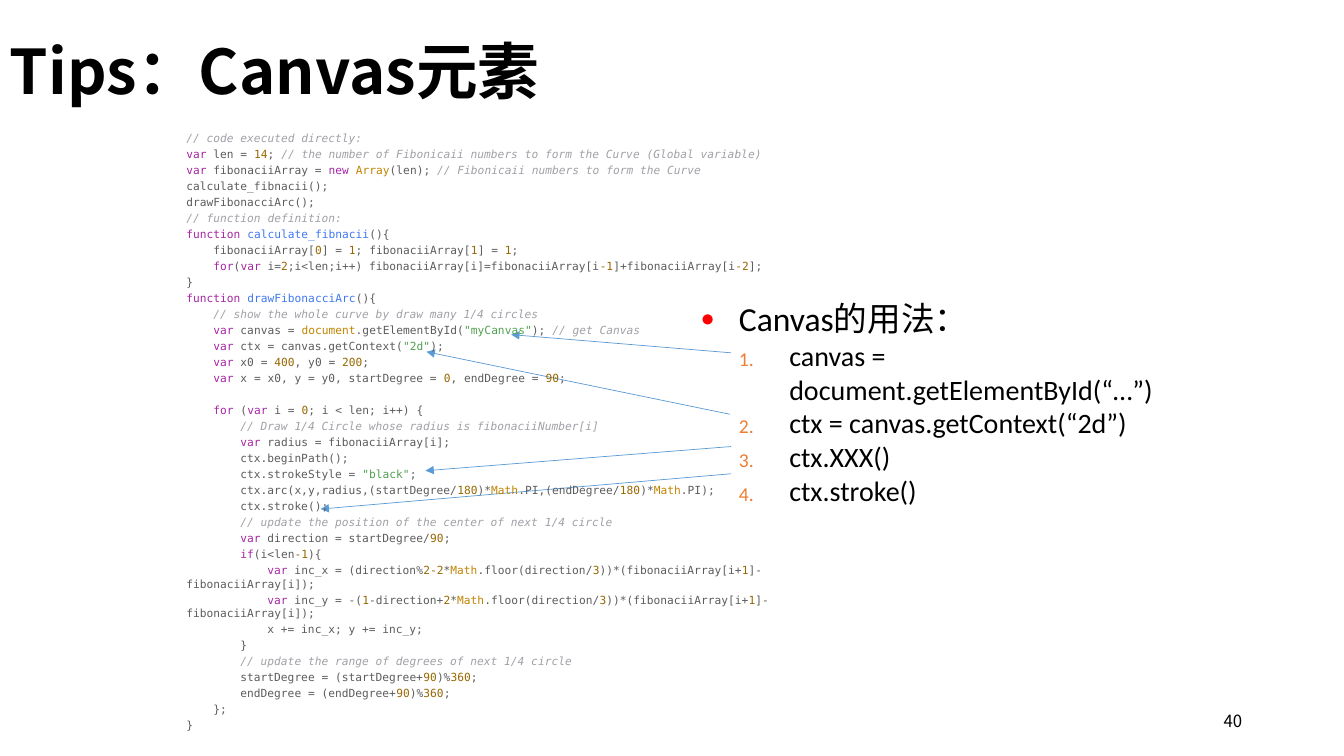
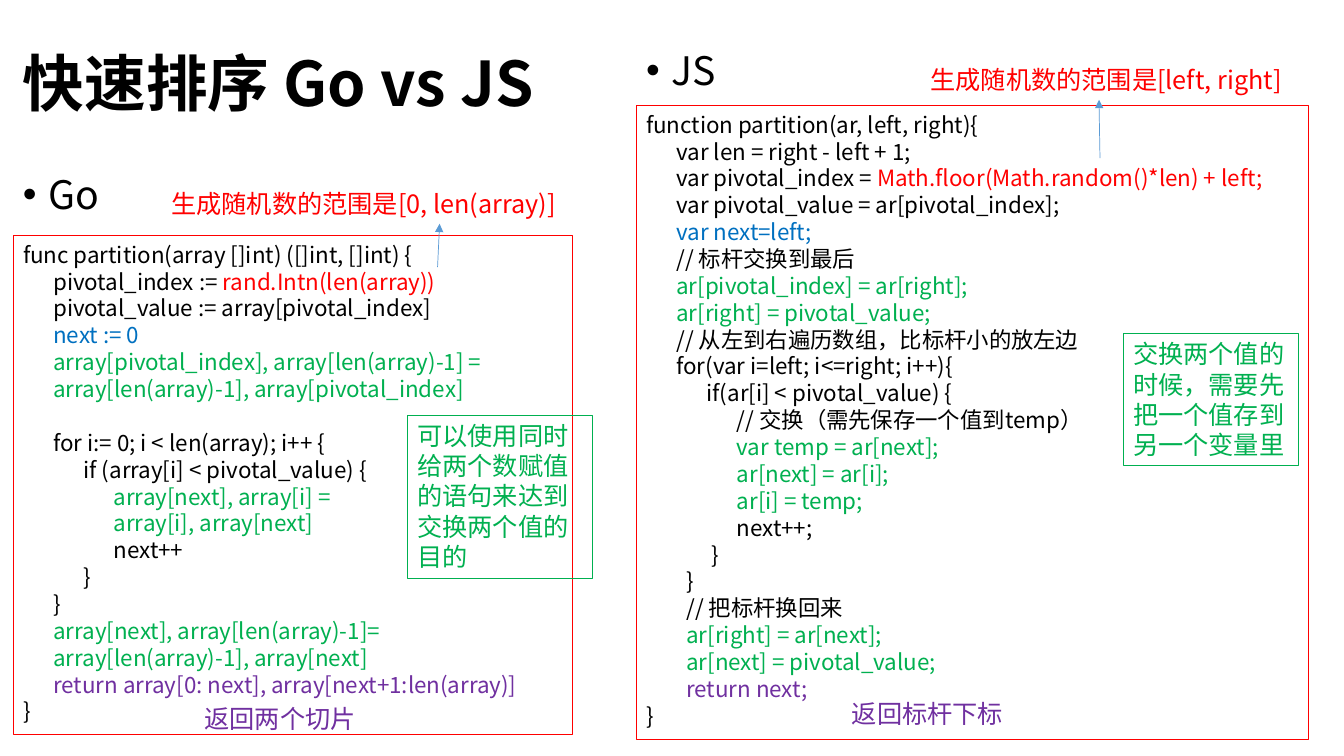
from lxml import etree
from pptx import Presentation
from pptx.dml.color import RGBColor
from pptx.enum import shapes, text
from pptx.oxml import ns
from pptx.util import Inches, Pt

COLORS = {
    "ink": "000000", "red": "FF0000", "blue": "0070C0", "green": "00B050",
    "purple": "7030A0", "orange": "ED7D31", "arrow": "5B9BD5",
    "code": "5C5C5C", "note": "A0A1A7", "key": "A626A4", "num": "986801",
    "obj": "C18401", "func": "4078F2", "str": "50A14F",
}
SANS, MONO, LATIN = "Noto Sans CJK SC", "DejaVu Sans Mono", "Calibri"

# Content: «colour:words» marks a coloured span, leading spaces give the indent
CANVAS_CODE = [
    '«note:// code executed directly:»',
    '«key:var» len = «num:14»; «note:// the number of Fibonicaii numbers to form the Curve (Global variable)»',
    '«key:var» fibonaciiArray = «key:new» «obj:Array»(len); «note:// Fibonicaii numbers to form the Curve»',
    'calculate_fibnacii();',
    'drawFibonacciArc();',
    '«note:// function definition:»',
    '«key:function» «func:calculate_fibnacii»(){',
    '    fibonaciiArray[«num:0»] = «num:1»; fibonaciiArray[«num:1»] = «num:1»;',
    '    «key:for»(«key:var» i=«num:2»;i<len;i++) fibonaciiArray[i]=fibonaciiArray[i«num:-1»]+fibonaciiArray[i«num:-2»];',
    '}',
    '«key:function» «func:drawFibonacciArc»(){',
    '    «note:// show the whole curve by draw many 1/4 circles»',
    '    «key:var» canvas = «obj:document».getElementById(«str:"myCanvas"»); «note:// get Canvas»',
    '    «key:var» ctx = canvas.getContext(«str:"2d"»);',
    '    «key:var» x0 = «num:400», y0 = «num:200»;',
    '    «key:var» x = x0, y = y0, startDegree = «num:0», endDegree = «num:90»;',
    '',
    '    «key:for» («key:var» i = «num:0»; i < len; i++) {',
    '        «note:// Draw 1/4 Circle whose radius is fibonaciiNumber[i]»',
    '        «key:var» radius = fibonaciiArray[i];',
    '        ctx.beginPath();',
    '        ctx.strokeStyle = «str:"black"»;',
    '        ctx.arc(x,y,radius,(startDegree/«num:180»)*«obj:Math».PI,(endDegree/«num:180»)*«obj:Math».PI);',
    '        ctx.stroke();',
    '        «note:// update the position of the center of next 1/4 circle»',
    '        «key:var» direction = startDegree/«num:90»;',
    '        «key:if»(i<len«num:-1»){',
    '            «key:var» inc_x = (direction%«num:2-2»*«obj:Math».floor(direction/«num:3»))'
    '*(fibonaciiArray[i+«num:1»]-fibonaciiArray[i]);',
    '            «key:var» inc_y = -(«num:1»-direction+«num:2»*«obj:Math».floor(direction/«num:3»))'
    '*(fibonaciiArray[i+«num:1»]-fibonaciiArray[i]);',
    '            x += inc_x; y += inc_y;',
    '        }',
    '        «note:// update the range of degrees of next 1/4 circle»',
    '        startDegree = (startDegree+«num:90»)%«num:360»;',
    '        endDegree = (endDegree+«num:90»)%«num:360»;',
    '    };',
    '}',
]

GO_CODE = [
    "func partition(array []int) ([]int, []int) {",
    "      pivotal_index := «red:rand.Intn(len(array))»",
    "      pivotal_value := array[pivotal_index]",
    "      «blue:next := 0»",
    "      «green:array[pivotal_index], array[len(array)-1] =»",
    "      «green:array[len(array)-1], array[pivotal_index]»",
    "",
    "      for i:= 0; i < len(array); i++ {",
    "            if (array[i] < pivotal_value) {",
    "                  «green:array[next], array[i] =»",
    "                  «green:array[i], array[next]»",
    "                  next++",
    "            }",
    "      }",
    "      «green:array[next], array[len(array)-1]=»",
    "      «green:array[len(array)-1], array[next]»",
    "      «purple:return array[0: next], array[next+1:len(array)]»",
    "}",
]

JS_CODE = [
    "function partition(ar, left, right){",
    "      var len = right - left + 1;",
    "      var pivotal_index = «red:Math.floor(Math.random()*len) + left;»",
    "      var pivotal_value = ar[pivotal_index];",
    "      «blue:var next=left;»",
    "      // 标杆交换到最后",
    "      «green:ar[pivotal_index] = ar[right];»",
    "      «green:ar[right] = pivotal_value;»",
    "      // 从左到右遍历数组，比标杆小的放左边",
    "      for(var i=left; i<=right; i++){",
    "            if(ar[i] < pivotal_value) {",
    "                  // 交换（需先保存一个值到temp）",
    "                  «green:var temp = ar[next];»",
    "                  «green:ar[next] = ar[i];»",
    "                  «green:ar[i] = temp;»",
    "                  next++;",
    "             }",
    "        }",
    "        // 把标杆换回来",
    "        «green:ar[right] = ar[next];»",
    "        «green:ar[next] = pivotal_value;»",
    "        «purple:return next;»",
    "}",
]

USAGE = "Canvas的用法："
USAGE_STEPS = ["canvas = document.getElementById(“…”)", "ctx = canvas.getContext(“2d”)",
               "ctx.XXX()", "ctx.stroke()"]
USAGE_ARROWS = [((7.25, 3.5), (5.07, 3.32)), ((7.24, 4.11), (4.23, 3.49)),
                ((7.25, 4.43), (4.22, 4.67)), ((7.25, 4.7), (3.18, 5.05))]

# Each language: heading, code and remarks with their places
LANGUAGES = [
    {"name": ("Go", (0.13, 1.69, 2.74, 0.53)),
     "code": (GO_CODE, (0.13, 2.34, 5.55, 4.95)),
     "range": ("生成随机数的范围是[0, len(array)]", (1.6, 1.82, 4.28, 0.4)),
     "swap": ("可以使用同时给两个数赋值的语句来达到交换两个值的目的", (4.04, 4.12, 1.84, 1.62)),
     "result": ("返回两个切片", (1.93, 6.93, 1.72, 0.4)),
     "arrow": ((4.34, 2.65), (4.36, 2.22))},
    {"name": ("JS", (6.31, 0.46, 2.74, 0.53)),
     "code": (JS_CODE, (6.31, 1.05, 6.67, 6.29)),
     "range": ("生成随机数的范围是[left, right]", (9.13, 0.59, 4.28, 0.4)),
     "swap": ("交换两个值的时候，需要先把一个值存到另一个变量里", (11.14, 3.31, 1.74, 1.31)),
     "result": ("返回标杆下标", (8.35, 6.88, 1.72, 0.4)),
     "arrow": ((10.91, 1.57), (10.9, 0.99))},
]


def rgb(name):
    return RGBColor.from_string(COLORS[name])


def add_box(page, place, outline=None):
    """Text box, or an unfilled outlined rectangle."""
    lengths = [Inches(value) for value in place]
    if outline:
        box = page.shapes.add_shape(shapes.MSO_SHAPE.RECTANGLE, *lengths)
        box.shadow.inherit = False
        box.fill.background()
        box.line.color.rgb = rgb(outline)
        box.line.width = Pt(0.75)
    else:
        box = page.shapes.add_textbox(*lengths)
    box.text_frame.word_wrap = True
    box.text_frame.vertical_anchor = text.MSO_ANCHOR.TOP
    return box


def set_bullet(properties, bullet, color=None):
    """Bullet character, or automatic numbers for "1."."""
    if color:
        tint = etree.SubElement(properties, ns.qn("a:buClr"))
        etree.SubElement(tint, ns.qn("a:srgbClr"), val=COLORS[color])
        etree.SubElement(properties, ns.qn("a:buSzPct"), val="70000")
    if bullet == "1.":
        etree.SubElement(properties, ns.qn("a:buFont"), typeface=LATIN)
        etree.SubElement(properties, ns.qn("a:buAutoNum"), type="arabicPeriod")
    else:
        etree.SubElement(properties, ns.qn("a:buFont"), typeface="Arial")
        etree.SubElement(properties, ns.qn("a:buChar"), char=bullet)


def write(box, words, size=18, font=SANS, color="ink", bold=False, align=text.PP_ALIGN.LEFT,
          leading=None, before=0, margin=0, first=0, bullet=None, bullet_color=None):
    """Add one paragraph, turning marked spans into coloured runs."""
    frame = box.text_frame
    para = frame.paragraphs[0]
    if para.runs:
        para = frame.add_paragraph()
    para.alignment = align
    para.space_before = Pt(before)
    if leading:
        para.line_spacing = leading
    properties = para._p.get_or_add_pPr()
    properties.set("marL", str(Inches(margin)))
    properties.set("indent", str(Inches(first)))
    if bullet:
        set_bullet(properties, bullet, bullet_color)
    plain, *marked = words.split("«")
    spans = [(color, plain)]
    for piece in marked:
        label, _, rest = piece.partition("»")
        tint, _, inside = label.partition(":")
        spans += [(tint, inside), (color, rest)]
    for tint, inside in spans:
        if not inside:
            continue
        span = para.add_run()
        span.text = inside
        span.font.size, span.font.name, span.font.bold = Pt(size), font, bold
        span.font.italic = tint == "note"
        span.font.color.rgb = rgb(tint)
        etree.SubElement(span._r.get_or_add_rPr(), ns.qn("a:ea"), typeface=SANS)


def write_code(box, lines, space, pitch, before=0, **style):
    """Write code lines; an empty line becomes extra space before the next one."""
    gap = 0
    for line in lines:
        words = line.lstrip()
        if not words:
            gap = pitch
            continue
        write(box, words, first=space * (len(line) - len(words)), before=before + gap, **style)
        gap = 0


def add_title(page, words, left, top):
    box = add_box(page, (left, top, 11.5, 1.45))
    box.text_frame.vertical_anchor = text.MSO_ANCHOR.MIDDLE
    write(box, words, size=44, bold=True, leading=0.9)


def add_arrow(page, start, end):
    line = page.shapes.add_connector(shapes.MSO_CONNECTOR.STRAIGHT,
                                     *[Inches(value) for value in start + end])
    line.line.color.rgb = rgb("arrow")
    line.line.width = Pt(0.5)
    etree.SubElement(line.line._get_or_add_ln(), ns.qn("a:tailEnd"), type="triangle")
    etree.SubElement(line._element.spPr, ns.qn("a:effectLst"))


def build_canvas(page):
    add_title(page, "Tips：Canvas元素", 0, 0.01)
    number = add_box(page, (9.42, 6.95, 3, 0.4))
    number.text_frame.vertical_anchor = text.MSO_ANCHOR.MIDDLE
    write(number, "40", size=12, align=text.PP_ALIGN.RIGHT)
    # Usage list
    usage = add_box(page, (6.85, 2.91, 4.87, 2.05))
    write(usage, USAGE, size=24, font=LATIN, margin=0.38, first=-0.38,
          bullet="●", bullet_color="red")
    for step in USAGE_STEPS:
        write(usage, step, size=20, font=LATIN, margin=0.88, first=-0.5,
              bullet="1.", bullet_color="orange")
    for start, end in USAGE_ARROWS:
        add_arrow(page, start, end)
    # Program
    program = add_box(page, (1.75, 1.25, 6.65, 5.98))
    write_code(program, CANVAS_CODE, space=0.067, pitch=11.2, before=1.86,
               size=8, font=MONO, color="code")


def build_comparison(page):
    add_title(page, "快速排序 Go vs JS", 0.13, 0.13)
    for language in LANGUAGES:
        lines, place = language["code"]
        write_code(add_box(page, place, "red"), lines, space=0.05, pitch=19.2,
                   size=16, leading=Pt(19.2))
        name, place = language["name"]
        write(add_box(page, place), name, size=28, leading=0.9, before=10,
              margin=0.25, first=-0.25, bullet="•")
        # Remarks
        for part, color, outline in (("range", "red", None), ("swap", "green", "green"),
                                     ("result", "purple", None)):
            words, place = language[part]
            write(add_box(page, place, outline), words, color=color, leading=Pt(21.6))
        add_arrow(page, *language["arrow"])


def main():
    deck = Presentation()
    deck.slide_width, deck.slide_height = Inches(13.33), Inches(7.5)
    for build in (build_canvas, build_comparison):
        build(deck.slides.add_slide(deck.slide_layouts[6]))
    deck.save("out.pptx")


if __name__ == "__main__":
    main()
